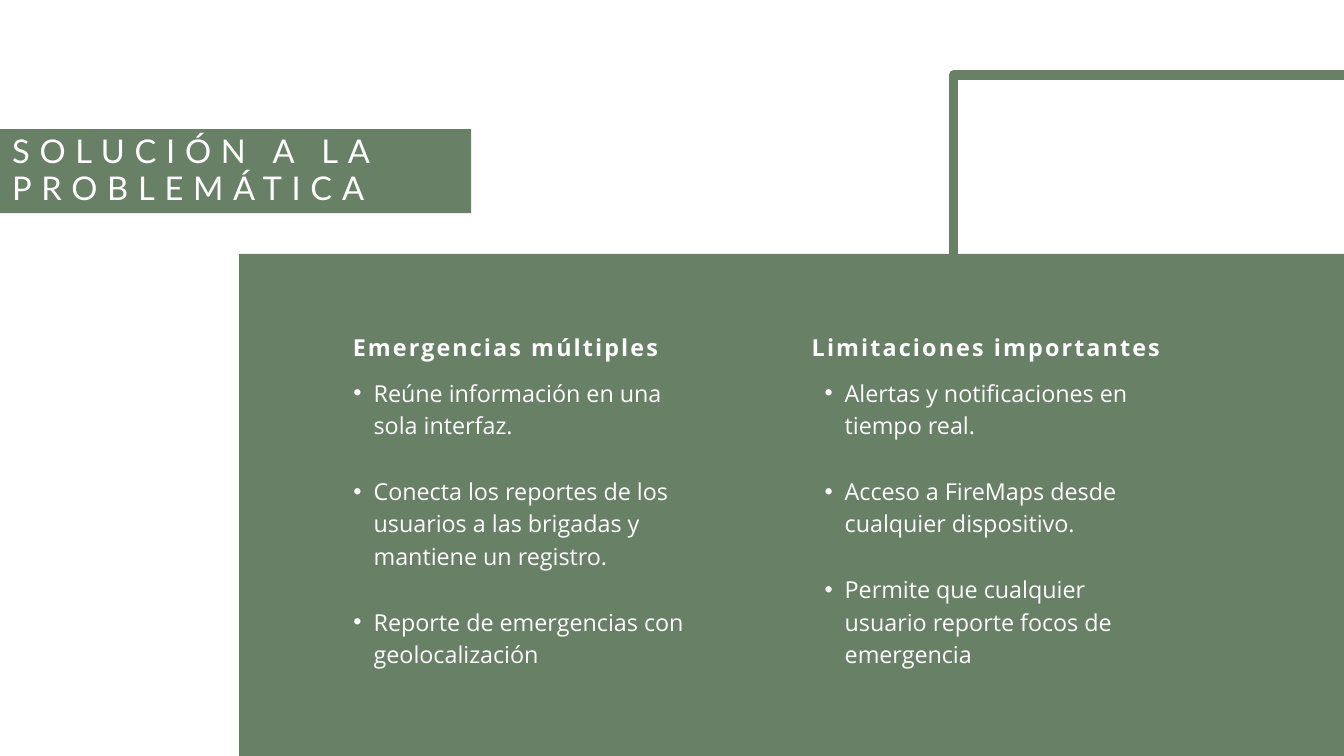
from lxml import etree
from pptx import Presentation
from pptx.dml.color import RGBColor
from pptx.enum.shapes import MSO_SHAPE
from pptx.enum.text import MSO_AUTO_SIZE
from pptx.oxml.ns import qn
from pptx.util import Inches, Pt

RECTANGLE = MSO_SHAPE.RECTANGLE
FIT_TEXT = MSO_AUTO_SIZE.SHAPE_TO_FIT_TEXT

GREEN = RGBColor(0x68, 0x80, 0x66)
WHITE = RGBColor(0xFF, 0xFF, 0xFF)

SLIDE_WIDTH, SLIDE_HEIGHT = 20, 11.25
COLUMN_WIDTH = 26.7  # percent of the slide width

# Each column: heading left, list left (percent), heading, bullet points
COLUMNS = [
    (26.25, 24.85, "Emergencias múltiples", [
        "Reúne información en una sola interfaz.",
        "Conecta los reportes de los usuarios a las brigadas y mantiene un registro.",
        "Reporte de emergencias con geolocalización",
    ]),
    (60.4, 59.9, "Limitaciones importantes", [
        "Alertas y notificaciones en tiempo real.",
        "Acceso a FireMaps desde cualquier dispositivo.",
        "Permite que cualquier usuario reporte focos de emergencia",
    ]),
]


def place(left, top, width, height):
    """Turn percentages of the slide into lengths."""
    across, down = SLIDE_WIDTH / 100, SLIDE_HEIGHT / 100
    return (Inches(left * across), Inches(top * down),
            Inches(width * across), Inches(height * down))


def add_rectangle(page, area, fill=None, outline=None, weight=0):
    shape = page.shapes.add_shape(RECTANGLE, *place(*area))
    shape.shadow.inherit = False
    if fill is None:
        shape.fill.background()
    else:
        shape.fill.solid()
        shape.fill.fore_color.rgb = fill
    if outline is None:
        shape.line.fill.background()
    else:
        shape.line.color.rgb = outline
        shape.line.width = Pt(weight)


def add_bullet(para):
    properties = para._p.get_or_add_pPr()
    properties.set("marL", str(Inches(0.59)))
    properties.set("indent", str(Inches(-0.3)))
    etree.SubElement(properties, qn("a:buFont")).set("typeface", "Arial")
    etree.SubElement(properties, qn("a:buChar")).set("char", "•")


def add_text(page, area, lines, size=25, font="Open Sans", bold=False,
             tracking=0, leading=35, gap=0, bullets=False):
    """Add a text box with one paragraph per line; sizes are in points."""
    box = page.shapes.add_textbox(*place(*area))
    frame = box.text_frame
    frame.word_wrap = True
    frame.auto_size = FIT_TEXT
    frame.margin_left = frame.margin_right = 0
    frame.margin_top = frame.margin_bottom = 0
    for index, line in enumerate(lines):
        para = frame.add_paragraph() if index else frame.paragraphs[0]
        if bullets:
            add_bullet(para)
        para.line_spacing = Pt(leading)
        if index:
            para.space_before = Pt(gap)
        span = para.add_run()
        span.text = line
        span.font.name = font
        span.font.size = Pt(size)
        span.font.bold = bold
        span.font.color.rgb = WHITE
        if tracking:
            span.font._element.set("spc", str(round(tracking * 100)))


def add_column(page, heading_left, list_left, heading, points):
    add_text(page, (heading_left, 42.22, COLUMN_WIDTH, 5.16), [heading],
             bold=True, tracking=2.3, leading=45.5)
    add_text(page, (list_left, 49.51, COLUMN_WIDTH, 38.22), points,
             gap=35, bullets=True)


def main():
    deck = Presentation()
    deck.slide_width = Inches(SLIDE_WIDTH)
    deck.slide_height = Inches(SLIDE_HEIGHT)
    page = deck.slides.add_slide(deck.slide_layouts[6])

    # Outlined frame that bleeds off the right edge
    add_rectangle(page, (70.95, 9.96, 31.3, 71.02), outline=GREEN, weight=10.5)

    # Title on its band
    add_rectangle(page, (0, 17.07, 35.05, 11.11), fill=GREEN)
    add_text(page, (0.9, 17.69, 33.75, 9.87), ["SOLUCIÓN A LA PROBLEMÁTICA"],
             size=35, font="Lato", tracking=10.4, leading=39.2)

    # Content panel with two columns
    add_rectangle(page, (17.8, 33.6, 82.2, 66.4), fill=GREEN)
    for column in COLUMNS:
        add_column(page, *column)

    deck.save("out.pptx")


if __name__ == "__main__":
    main()
